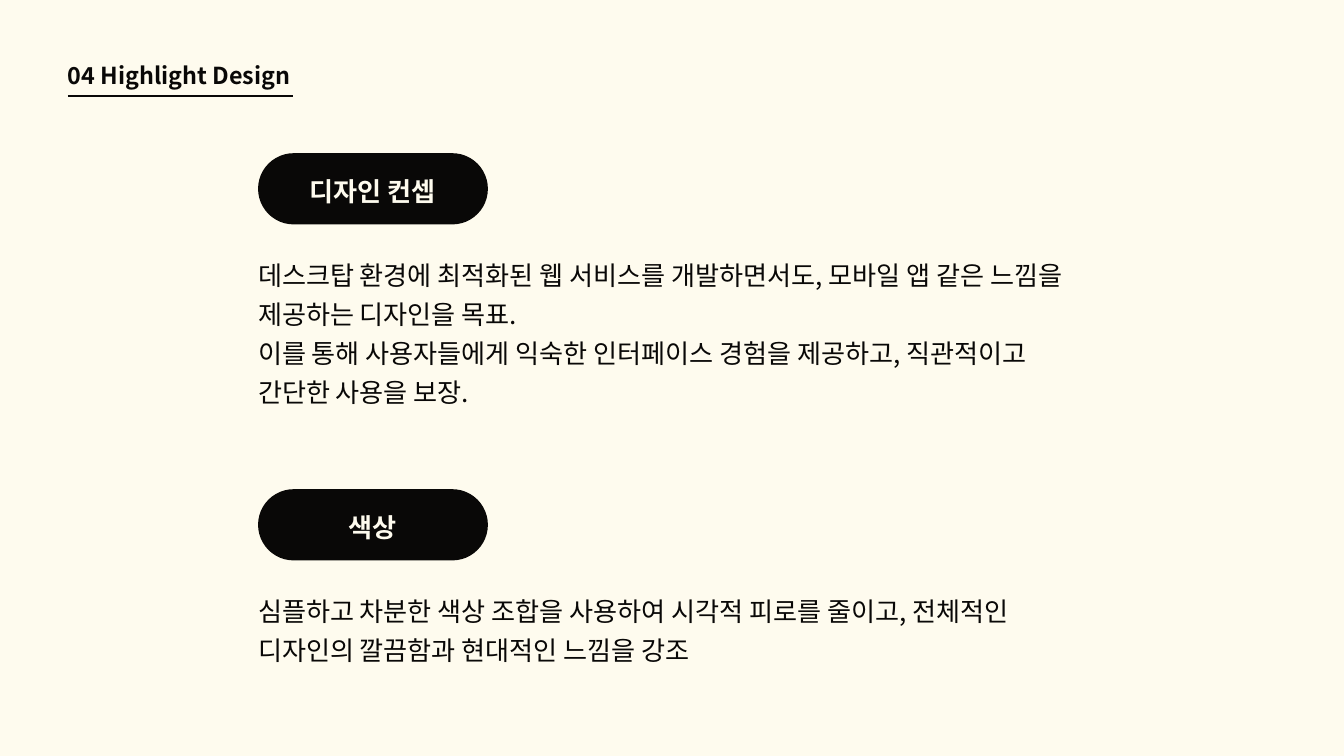
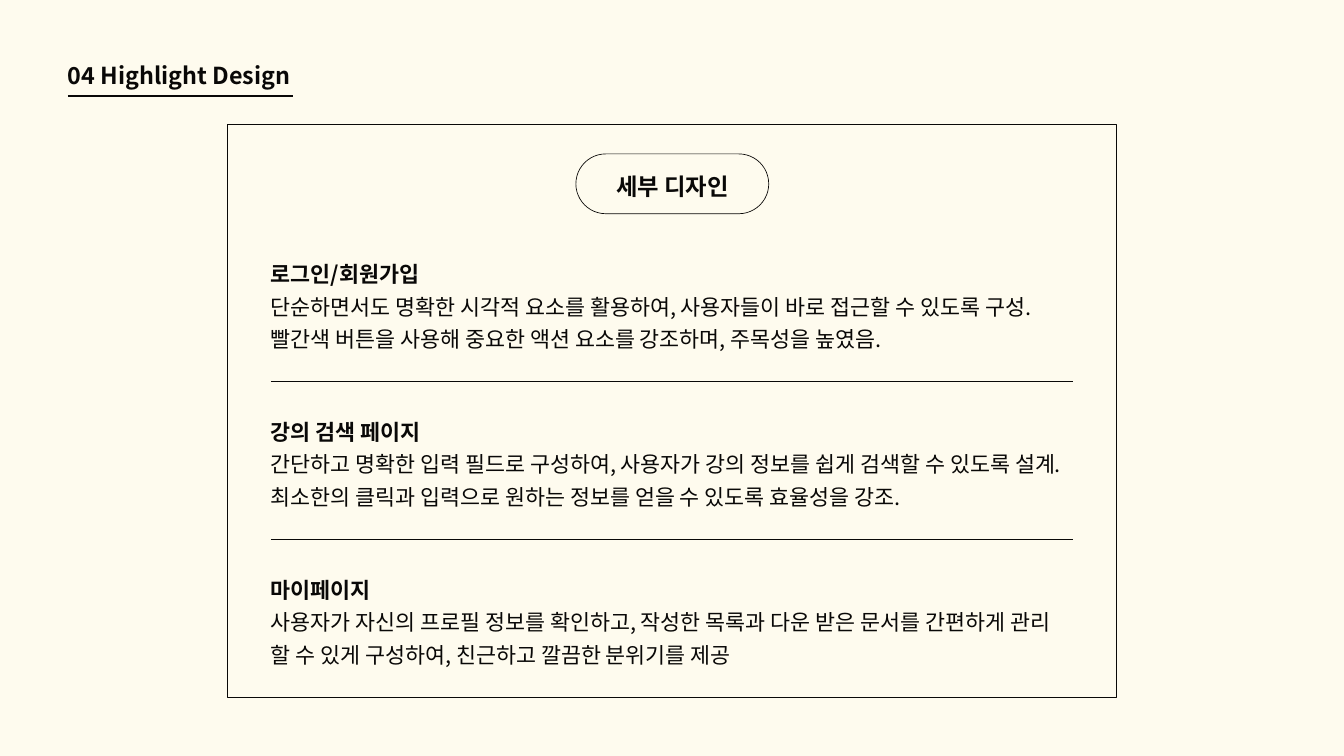
from dataclasses import dataclass

from lxml.etree import SubElement
from pptx import Presentation
from pptx.dml.color import RGBColor
from pptx.enum.shapes import MSO_CONNECTOR as Connector, MSO_SHAPE as Shape
from pptx.enum.text import MSO_ANCHOR as Anchor, MSO_AUTO_SIZE as AutoSize, PP_ALIGN as Align
from pptx.oxml.ns import qn
from pptx.util import Inches, Pt


@dataclass(frozen=True)
class Theme:
    ink: RGBColor = RGBColor.from_string("090807")
    paper: RGBColor = RGBColor.from_string("FEFBEE")
    font: str = "Noto Sans CJK SC"
    title_size: float = 25
    body_size: float = 28
    detail_size: float = 23.3
    title_leading: float = 35
    body_leading: float = 42
    pill_leading: float = 1.4  # times the text size


THEME = Theme()
TITLE = "04 Highlight Design"
TITLE_ONLY = 5

CONCEPTS = [
    (2.28, 2.31, "디자인 컨셉", [
        "데스크탑 환경에 최적화된 웹 서비스를 개발하면서도, 모바일 앱 같은 느낌을 제공하는 디자인을 목표.",
        "이를 통해 사용자들에게 익숙한 인터페이스 경험을 제공하고, 직관적이고 간단한 사용을 보장.",
    ]),
    (7.28, 1.14, "색상", [
        "심플하고 차분한 색상 조합을 사용하여 시각적 피로를 줄이고, 전체적인 디자인의 깔끔함과 현대적인 느낌을 강조",
    ]),
]

DETAILS = [
    ("로그인/회원가입",
     "단순하면서도 명확한 시각적 요소를 활용하여, 사용자들이 바로 접근할 수 있도록 구성. "
     "빨간색 버튼을 사용해 중요한 액션 요소를 강조하며, 주목성을 높였음."),
    ("강의 검색 페이지",
     "간단하고 명확한 입력 필드로 구성하여, 사용자가 강의 정보를 쉽게 검색할 수 있도록 설계. "
     "최소한의 클릭과 입력으로 원하는 정보를 얻을 수 있도록 효율성을 강조."),
    ("마이페이지",
     "사용자가 자신의 프로필 정보를 확인하고, 작성한 목록과 다운 받은 문서를 간편하게 관리 "
     "할 수 있게 구성하여, 친근하고 깔끔한 분위기를 제공"),
]


def write(frame, lines, *, size, leading, color=THEME.ink, bold=False,
          first_bold=False, align=Align.LEFT, anchor=Anchor.TOP):
    """Fill a text frame, one paragraph for each line."""
    frame.word_wrap = True
    frame.auto_size = AutoSize.NONE
    frame.vertical_anchor = anchor
    frame.margin_left = frame.margin_top = frame.margin_right = frame.margin_bottom = 0
    for index, line in enumerate(lines):
        para = frame.add_paragraph() if index else frame.paragraphs[0]
        para.alignment = align
        para.line_spacing = Pt(leading)
        para.space_before = Pt(0)
        span = para.add_run()
        span.text = line
        span.font.size = Pt(size)
        span.font.bold = bold or (first_bold and index == 0)
        span.font.color.rgb = color
        span.font.name = THEME.font
        # Korean glyphs take the East Asian typeface
        SubElement(span.font._element, qn("a:ea"), typeface=THEME.font)


class Designer:
    """Holds the deck's style and draws on the current page."""

    def __init__(self, theme):
        self.theme = theme
        self.deck = Presentation()
        self.deck.slide_width, self.deck.slide_height = Inches(20), Inches(11.25)
        background = self.deck.slide_master.background.fill
        background.solid()
        background.fore_color.rgb = theme.paper
        self.page = None

    def new_page(self, title):
        self.page = self.deck.slides.add_slide(self.deck.slide_layouts[TITLE_ONLY])
        heading = self.page.shapes.title
        heading.left, heading.top = Inches(1.01), Inches(0.84)
        heading.width, heading.height = Inches(3.35), Inches(0.46)
        write(heading.text_frame, [title], size=self.theme.title_size,
              leading=self.theme.title_leading, bold=True)
        self.rule(1.01, 1.43, 3.35, weight=3)

    def rule(self, left, top, width, weight=1):
        line = self.page.shapes.add_connector(
            Connector.STRAIGHT, Inches(left), Inches(top), Inches(left + width), Inches(top))
        line.line.color.rgb = self.theme.ink
        line.line.width = Pt(weight)
        SubElement(line._element.spPr, qn("a:effectLst"))

    def text(self, left, top, width, height, lines, **style):
        box = self.page.shapes.add_textbox(
            Inches(left), Inches(top), Inches(width), Inches(height))
        write(box.text_frame, lines, **style)

    def shape(self, kind, left, top, width, height, filled=False):
        shape = self.page.shapes.add_shape(
            kind, Inches(left), Inches(top), Inches(width), Inches(height))
        shape.shadow.inherit = False
        if filled:
            shape.fill.solid()
            shape.fill.fore_color.rgb = self.theme.ink
            shape.line.fill.background()
        else:
            shape.fill.background()
            shape.line.color.rgb = self.theme.ink
            shape.line.width = Pt(0.75)
        return shape

    def pill(self, left, top, width, height, label, size, filled=False):
        pill = self.shape(Shape.ROUNDED_RECTANGLE, left, top, width, height, filled)
        pill.adjustments[0] = 0.5
        write(pill.text_frame, [label], size=size, leading=size * self.theme.pill_leading,
              color=self.theme.paper if filled else self.theme.ink,
              bold=True, align=Align.CENTER, anchor=Anchor.MIDDLE)


def concept_page(designer):
    theme = designer.theme
    designer.new_page(TITLE)
    for top, height, label, lines in CONCEPTS:
        designer.pill(3.84, top, 3.42, 1.06, label, theme.body_size, filled=True)
        designer.text(3.84, top + 1.46, 12.32, height, lines,
                      size=theme.body_size, leading=theme.body_leading)


def detail_page(designer):
    theme = designer.theme
    left, first_top, width, pitch = 4.03, 3.78, 11.93, 2.35
    designer.new_page(TITLE)
    designer.shape(Shape.RECTANGLE, 3.39, 1.85, 13.23, 8.53)
    designer.pill(8.57, 2.29, 2.87, 0.89, "세부 디자인", theme.title_size)
    for index, lines in enumerate(DETAILS):
        top = first_top + index * pitch
        if index:
            designer.rule(left, top - 0.45, width)
        designer.text(left, top, width, 1.39, lines, size=theme.detail_size,
                      leading=theme.title_leading, first_bold=True)


def main():
    designer = Designer(THEME)
    concept_page(designer)
    detail_page(designer)
    designer.deck.save("out.pptx")


if __name__ == "__main__":
    main()
